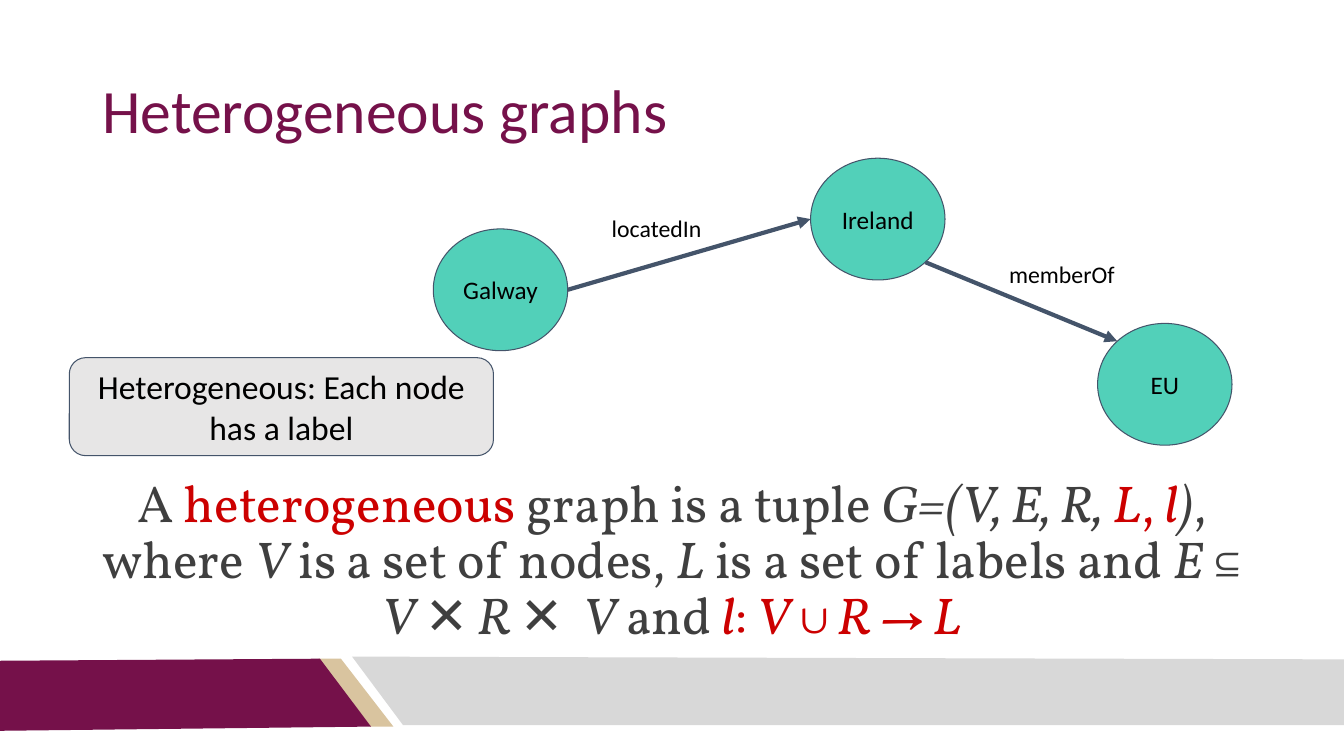
from dataclasses import dataclass
from math import cos, radians, sin

from lxml import etree
from pptx import Presentation
from pptx.dml.color import RGBColor
from pptx.enum.shapes import MSO_CONNECTOR as Conn, MSO_SHAPE as Shape
from pptx.enum.text import MSO_ANCHOR as Anchor, PP_ALIGN as Align
from pptx.oxml.ns import qn
from pptx.util import Pt


@dataclass(frozen=True)
class Theme:
    plum: str = "75114A"
    sand: str = "D9C49F"
    silver: str = "D8D8D8"
    teal: str = "52D0B9"
    slate: str = "44546A"
    pale: str = "E7E6E6"
    black: str = "000000"
    dark: str = "3F3F3F"
    red: str = "CC0000"
    sans: str = "Calibri"
    serif: str = "Vollkorn"
    title: int = 44
    body: int = 37
    note: int = 24
    node: int = 18
    edge: int = 17


T = Theme()
WIDTH, HEIGHT = 960, 540
NODE_W, NODE_H = 96, 87
INSET = 7.2

DEFINITION = [
    ("A ", T.dark, False), ("heterogeneous", T.red, False),
    (" graph is a tuple ", T.dark, False), ("G=(V, E, R, ", T.dark, True),
    ("L", T.red, True), (", ", T.red, False), ("l", T.red, True),
    (")", T.dark, True), (", where ", T.dark, False), ("V", T.dark, True),
    (" is a set of nodes, ", T.dark, False), ("L", T.dark, True),
    (" is a set of labels and ", T.dark, False), ("E ", T.dark, True),
    ("⊆", T.dark, False), (" V ", T.dark, True), ("✕", T.dark, False),
    (" R ", T.dark, True), ("✕ ", T.dark, False), (" V ", T.dark, True),
    ("and ", T.dark, False), ("l", T.red, True), (":", T.red, False),
    (" V ", T.red, True), ("∪", T.red, False), (" R → L", T.red, True),
]


def rgb(value):
    return RGBColor.from_string(value)


def write(sp, runs, size, font=T.sans, color=T.black, align=Align.CENTER,
          anchor=Anchor.MIDDLE, spacing=1.0):
    tf = sp.text_frame
    tf.word_wrap = True
    tf.vertical_anchor = anchor
    tf.margin_left = tf.margin_right = Pt(INSET)
    tf.margin_top = tf.margin_bottom = Pt(INSET)
    p = tf.paragraphs[0]
    p.alignment = align
    p.line_spacing = spacing
    p.space_before = Pt(0)
    if isinstance(runs, str):
        runs = [(runs, color, False)]
    for text, run_color, italic in runs:
        r = p.add_run()
        r.text = text
        r.font.name = font
        r.font.size = Pt(size)
        r.font.italic = italic
        r.font.color.rgb = rgb(run_color)


def add_text(slide, box, runs, size, **fmt):
    sp = slide.shapes.add_textbox(*map(Pt, box))
    write(sp, runs, size, **fmt)


def add_panel(slide, kind, box, text, size, fill):
    sp = slide.shapes.add_shape(kind, *map(Pt, box))
    sp.shadow.inherit = False
    sp.fill.solid()
    sp.fill.fore_color.rgb = rgb(fill)
    sp.line.color.rgb = rgb(T.slate)
    sp.line.width = Pt(0.75)
    write(sp, text, size)


def add_arrow(slide, start, end):
    line = slide.shapes.add_connector(Conn.STRAIGHT, *map(Pt, start + end))
    line.line.color.rgb = rgb(T.slate)
    line.line.width = Pt(3)
    ln = line.line._get_or_add_ln()
    etree.SubElement(ln, qn("a:tailEnd"), type="triangle")
    etree.SubElement(line._element.spPr, qn("a:effectLst"))


def rim(box, degrees):
    x, y, w, h = box
    angle = radians(degrees)
    return x + w / 2 * (1 + cos(angle)), y + h / 2 * (1 + sin(angle))


def draw_footer(slide, box):
    left, top, width, height = box
    right = left + width
    bands = [
        (T.sand, [(227.5, 1.5), (243.5, 1.5), (281, 50), (264.5, 50)]),
        (T.plum, [(0, 3), (228.5, 1.5), (265, 50), (0, height)]),
        (T.silver, [(251.5, 0), (right, 2), (right, 49), (288, 49)]),
    ]
    for color, outline in bands:
        points = [(Pt(left + x), Pt(top + y)) for x, y in outline]
        builder = slide.shapes.build_freeform(*points[0])
        builder.add_line_segments(points[1:], close=True)
        sp = builder.convert_to_shape()
        sp.shadow.inherit = False
        sp.fill.solid()
        sp.fill.fore_color.rgb = rgb(color)
        sp.line.fill.background()


def draw_title(slide, box):
    sp = slide.shapes.title
    sp.left, sp.top, sp.width, sp.height = map(Pt, box)
    write(sp, "Heterogeneous graphs", T.title, color=T.plum,
          align=Align.LEFT, spacing=0.9)


def draw_graph(slide, box):
    left, top, width, height = box
    galway = (left, top + 50.5, NODE_W, NODE_H)
    ireland = (left + 269.5, top, NODE_W, NODE_H)
    eu = (left + width - NODE_W, top + height - NODE_H, NODE_W, NODE_H)
    nodes = [("Galway", galway), ("Ireland", ireland), ("EU", eu)]
    for name, node in nodes:
        add_panel(slide, Shape.OVAL, node, name, T.node, T.teal)
    edges = [
        ("locatedIn", rim(galway, 0), rim(ireland, 180), (111.5, 32.5)),
        ("memberOf", rim(ireland, 45), rim(eu, 225), (401, 65)),
    ]
    for name, start, end, (dx, dy) in edges:
        add_arrow(slide, start, end)
        add_text(slide, (left + dx, top + dy, NODE_W, 35), name, T.edge,
                 anchor=Anchor.TOP)


def draw_note(slide, box):
    add_panel(slide, Shape.ROUNDED_RECTANGLE, box,
              "Heterogeneous: Each node has a label", T.note, T.pale)


def draw_definition(slide, box):
    add_text(slide, box, DEFINITION, T.body, font=T.serif, spacing=0.9)


def main():
    prs = Presentation()
    prs.slide_width, prs.slide_height = Pt(WIDTH), Pt(HEIGHT)
    slide = prs.slides.add_slide(prs.slide_layouts.get_by_name("Title Only"))
    draw_footer(slide, (0, 469, WIDTH, 53))
    draw_title(slide, (66, 29, 828, 104))
    draw_graph(slide, (309.5, 113, 570.5, 205))
    draw_note(slide, (49.5, 255.5, 303, 70))
    draw_definition(slide, (66, 330.5, 828, 142))
    prs.save("out.pptx")


if __name__ == "__main__":
    main()
